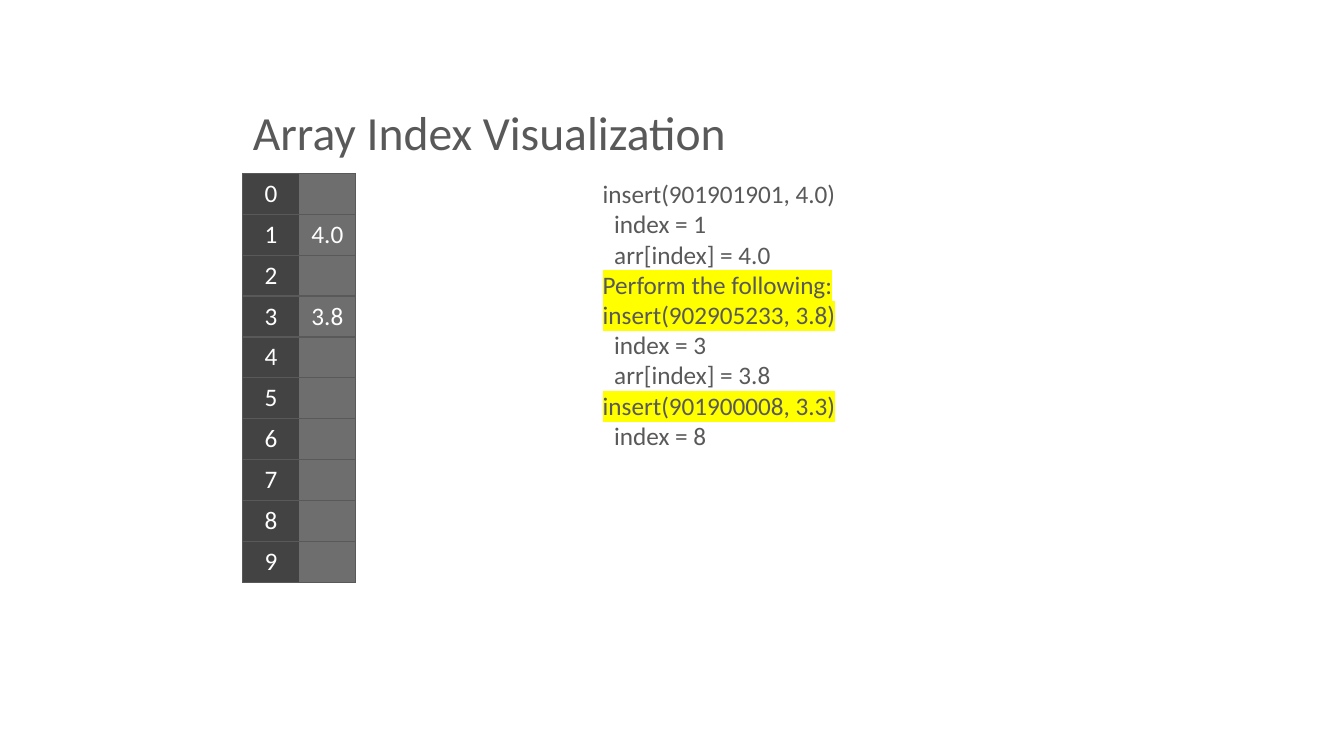
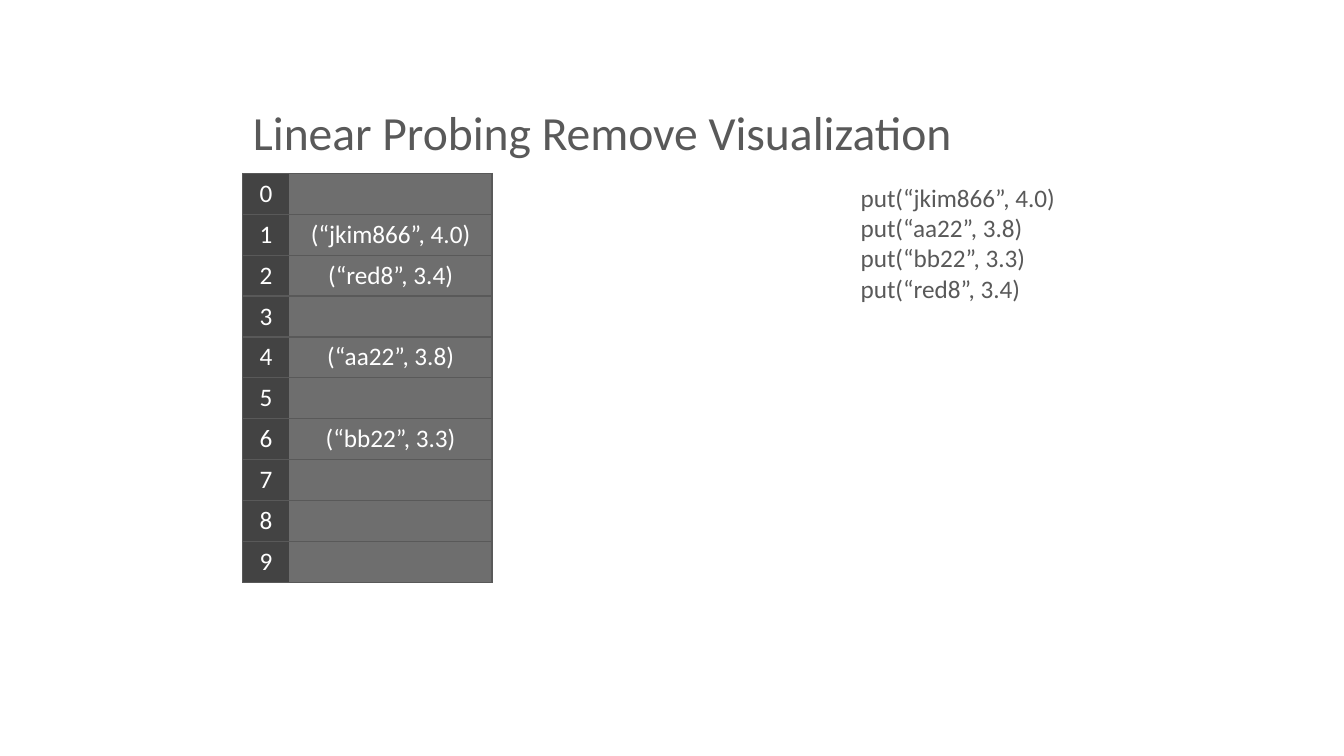
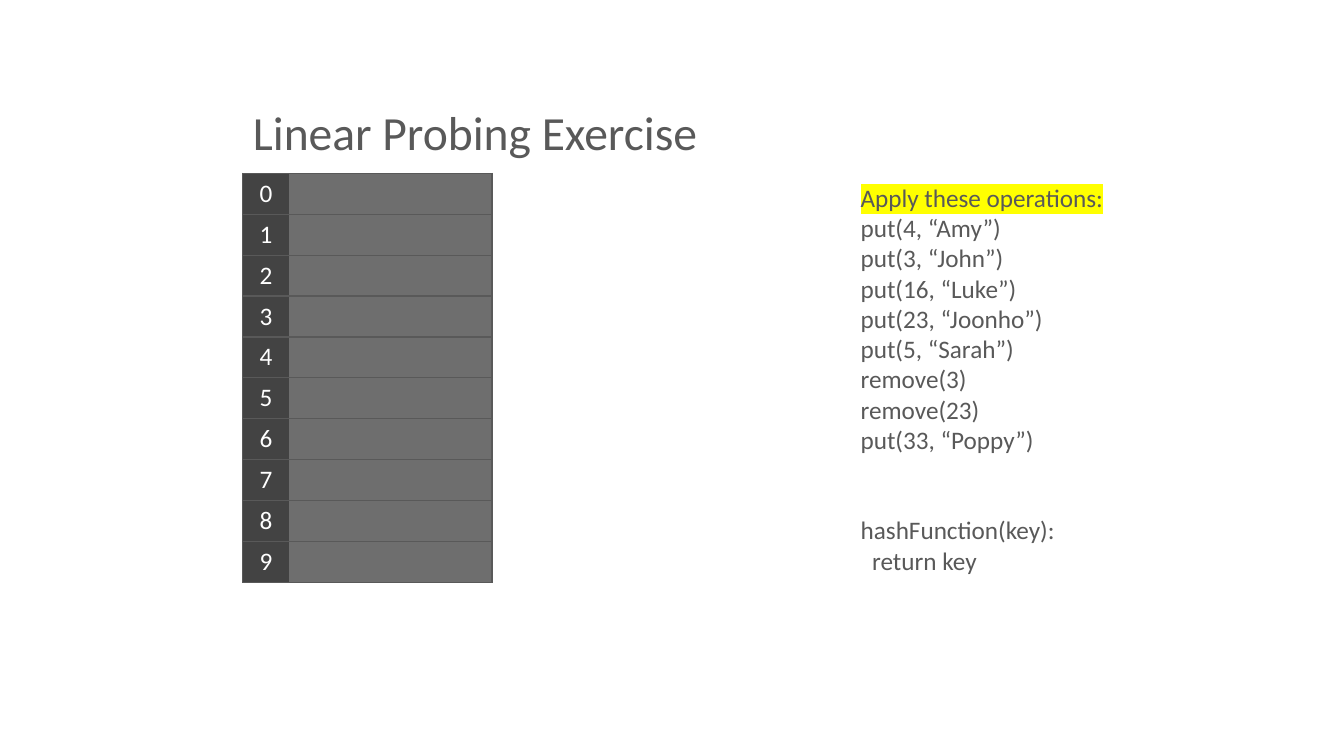
from dataclasses import dataclass

from lxml import etree
from pptx import Presentation, util as u
from pptx.dml.color import RGBColor
from pptx.enum import text
from pptx.oxml.ns import qn

Cm, Pt = u.Cm, u.Pt


@dataclass(frozen=True)
class Theme:
    font: str = "Calibri"
    ink: str = "595959"
    index_fill: str = "434343"
    value_fill: str = "6E6E6E"
    cell_text: str = "FFFFFF"
    mark: str = "FFFF00"
    title_size: int = 34
    body_size: int = 18
    rule: int = 1
    no_table_style: str = "{2D5ABB26-0587-4C30-8999-92F81FD0307C}"


T = Theme()
LEFT, TABLE_TOP, ROW_HEIGHT, ROWS = 6.12, 4.37, 1.03, 10
TITLE_BOX = (LEFT, 0.84, 26.04, 3.33)
STEP_INDENT = 0.29
SECTION_GAP = 43

# Line kinds: plain, marked (highlighted), step (indented), section (gap above)
SLIDES = [
    dict(
        title="Array Index Visualization",
        columns=(1.42, 1.42),
        values={1: "4.0", 3: "3.8"},
        box=(14.94, 4.37, 7.14, 7.19),
        lines=[
            ("insert(901901901, 4.0)", "plain"),
            ("index = 1", "step"),
            ("arr[index] = 4.0", "step"),
            ("Perform the following:", "marked"),
            ("insert(902905233, 3.8)", "marked"),
            ("index = 3", "step"),
            ("arr[index] = 3.8", "step"),
            ("insert(901900008, 3.3)", "marked"),
            ("index = 8", "step"),
        ],
    ),
    dict(
        title="Linear Probing Remove Visualization",
        columns=(1.17, 5.11),
        values={1: "(“jkim866”, 4.0)", 2: "(“red8”, 3.4)",
                4: "(“aa22”, 3.8)", 6: "(“bb22”, 3.3)"},
        box=(21.44, 4.47, 6.07, 3.33),
        lines=[
            ("put(“jkim866”, 4.0)", "plain"),
            ("put(“aa22”, 3.8)", "plain"),
            ("put(“bb22”, 3.3)", "plain"),
            ("put(“red8”, 3.4)", "plain"),
        ],
    ),
    dict(
        title="Linear Probing Exercise",
        columns=(1.17, 5.11),
        values={},
        box=(21.44, 4.47, 7.39, 10.26),
        lines=[
            ("Apply these operations:", "marked"),
            ("put(4, “Amy”)", "plain"),
            ("put(3, “John”)", "plain"),
            ("put(16, “Luke”)", "plain"),
            ("put(23, “Joonho”)", "plain"),
            ("put(5, “Sarah”)", "plain"),
            ("remove(3)", "plain"),
            ("remove(23)", "plain"),
            ("put(33, “Poppy”)", "plain"),
            ("hashFunction(key):", "section"),
            ("return key", "step"),
        ],
    ),
]


def format_runs(p, size, color):
    for r in p.runs:
        r.font.name = T.font
        r.font.size = Pt(size)
        r.font.color.rgb = RGBColor.from_string(color)


def highlight(r):
    mark = etree.Element(qn("a:highlight"))
    etree.SubElement(mark, qn("a:srgbClr"), val=T.mark)
    r.font._element.find(qn("a:solidFill")).addnext(mark)


def draw_borders(cell, sides):
    """Add border lines; sides must follow the order L, R, T, B."""
    tc_pr = cell._tc.get_or_add_tcPr()
    for i, side in enumerate(sides):
        ln = etree.Element(qn(f"a:ln{side}"), w=str(Pt(T.rule)))
        fill = etree.SubElement(ln, qn("a:solidFill"))
        etree.SubElement(fill, qn("a:srgbClr"), val=T.ink)
        tc_pr.insert(i, ln)


def add_title(s, title):
    sp = s.shapes.title
    sp.left, sp.top, sp.width, sp.height = map(Cm, TITLE_BOX)
    tf = sp.text_frame
    tf.text = title
    tf.word_wrap = True
    tf.vertical_anchor = text.MSO_ANCHOR.BOTTOM
    p = tf.paragraphs[0]
    p.alignment = text.PP_ALIGN.LEFT
    p.line_spacing = 0.9
    format_runs(p, T.title_size, T.ink)


def add_array(s, columns, values):
    """Draw the array as a table of index and value."""
    table = s.shapes.add_table(ROWS, 2, Cm(LEFT), Cm(TABLE_TOP), Cm(sum(columns)),
                               Cm(ROWS * ROW_HEIGHT)).table
    table.first_row = table.horz_banding = False
    table._tbl.tblPr.find(qn("a:tableStyleId")).text = T.no_table_style
    for column, width in zip(table.columns, columns):
        column.width = Cm(width)
    for i, row in enumerate(table.rows):
        row.height = Cm(ROW_HEIGHT)
        parts = [(str(i), T.index_fill, "LTB"), (values.get(i, ""), T.value_fill, "RTB")]
        for cell, (label, fill, sides) in zip(row.cells, parts):
            cell.text = label
            cell.fill.solid()
            cell.fill.fore_color.rgb = RGBColor.from_string(fill)
            draw_borders(cell, sides)
            p = cell.text_frame.paragraphs[0]
            p.alignment = text.PP_ALIGN.CENTER
            format_runs(p, T.body_size, T.cell_text)


def add_operations(s, box, lines):
    tf = s.shapes.add_textbox(*map(Cm, box)).text_frame
    tf.word_wrap = True
    for i, (line, kind) in enumerate(lines):
        p = tf.add_paragraph() if i else tf.paragraphs[0]
        p.text = line
        format_runs(p, T.body_size, T.ink)
        if kind == "marked":
            highlight(p.runs[0])
        elif kind == "step":
            p._p.get_or_add_pPr().set("marL", str(Cm(STEP_INDENT)))
        elif kind == "section":
            p.space_before = Pt(SECTION_GAP)


def main():
    prs = Presentation()
    prs.slide_width, prs.slide_height = Cm(33.87), Cm(19.05)
    for content in SLIDES:
        s = prs.slides.add_slide(prs.slide_layouts[5])
        add_title(s, content["title"])
        add_array(s, content["columns"], content["values"])
        add_operations(s, content["box"], content["lines"])
    prs.save("out.pptx")


if __name__ == "__main__":
    main()
